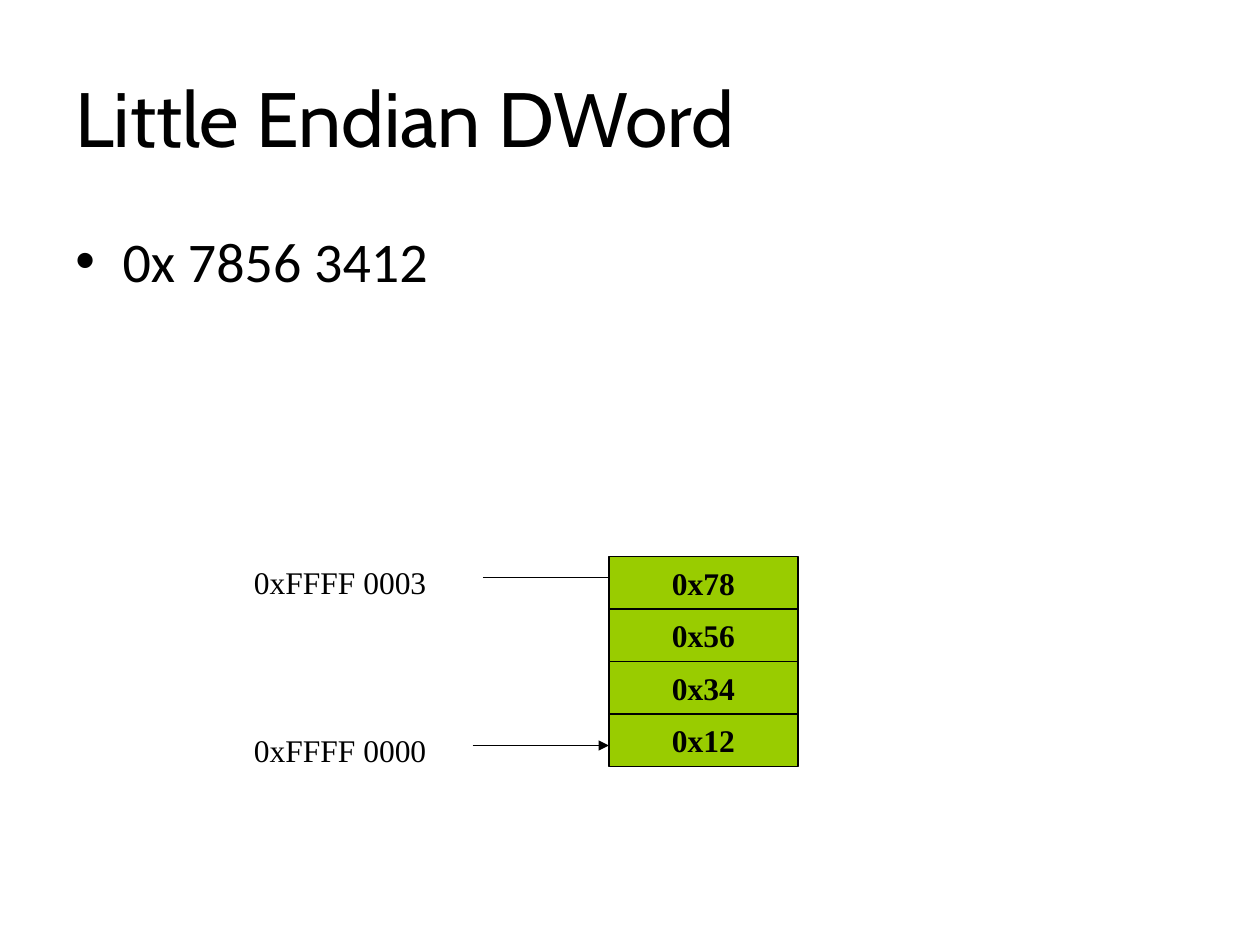
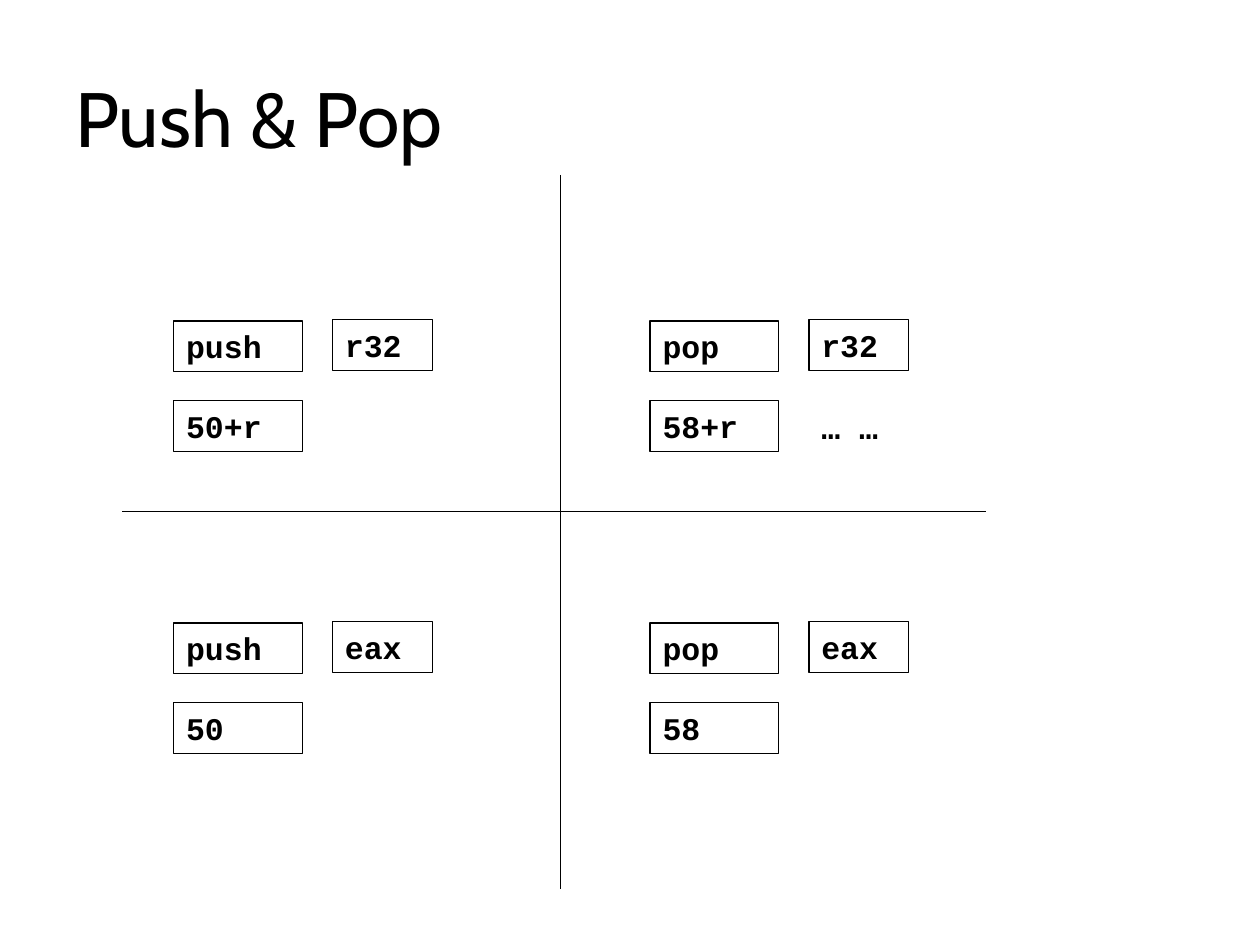
"""Build two slides on little-endian storage and push/pop encodings."""
from dataclasses import dataclass

from lxml.etree import SubElement
from pptx import Presentation
from pptx.dml.color import RGBColor
from pptx.enum.shapes import MSO_CONNECTOR, MSO_SHAPE
from pptx.enum.text import MSO_ANCHOR, PP_ALIGN
from pptx.oxml.ns import qn
from pptx.util import Pt

ENDIAN_TITLE = "Little Endian DWord"
ENDIAN_VALUE = "0x 7856 3412"
MEMORY_BYTES = ["0x78", "0x56", "0x34", "0x12"]
ADDRESSES = [
    {"text": "0xFFFF 0003", "top": 318, "arrow": (276, 354)},
    {"text": "0xFFFF 0000", "top": 414, "arrow": (270, 348)},
]

STACK_TITLE = "Push & Pop"
INSTRUCTIONS = [
    [("push", "r32", "50+r"), ("pop", "r32", "58+r")],
    [("push", "eax", "50"), ("pop", "eax", "58")],
]
MORE = "… …"


@dataclass(frozen=True)
class Theme:
    ink: RGBColor = RGBColor(0, 0, 0)
    memory: RGBColor = RGBColor(0x99, 0xCC, 0x00)
    title_font: str = "Cabin"
    body_font: str = "Calibri"
    memory_font: str = "Times New Roman"
    code_font: str = "Courier New"
    title_size: int = 44
    body_size: int = 32
    label_size: int = 18
    line_width: float = 0.75


THEME = Theme()

MEMORY_LEFT, MEMORY_TOP, MEMORY_WIDTH, MEMORY_HEIGHT = 348, 318, 108, 30
ADDRESS_LEFT, ADDRESS_WIDTH = 138, 126
LABEL_HEIGHT = 29
ARROW_DROP = 12

QUADRANT_LEFT, QUADRANT_TOP = 99.25, 183.5
QUADRANT_STEP_X, QUADRANT_STEP_Y = 272.25, 172.5
OPCODE_WIDTH, OPERAND_WIDTH, MORE_WIDTH = 73.5, 57, 68.5
OPERAND_SHIFT, OPERAND_RISE = 90.75, 0.75
ENCODING_DROP = 45.5


def write(shape, text, font, size, bold=False, align=PP_ALIGN.LEFT,
          anchor=MSO_ANCHOR.TOP, bullet_indent=0):
    frame = shape.text_frame
    frame.word_wrap = True
    frame.vertical_anchor = anchor
    para = frame.paragraphs[0]
    para.alignment = align
    if bullet_indent:
        properties = para._p.get_or_add_pPr()
        properties.set("marL", str(Pt(bullet_indent)))
        properties.set("indent", str(-Pt(bullet_indent)))
        SubElement(properties, qn("a:buFont")).set("typeface", "Arial")
        SubElement(properties, qn("a:buChar")).set("char", "•")
    span = para.add_run()
    span.text = text
    span.font.name = font
    span.font.size = Pt(size)
    span.font.bold = bold
    span.font.color.rgb = THEME.ink


def add_text(page, place, text, font, size, **style):
    box = page.shapes.add_textbox(*map(Pt, place))
    write(box, text, font, size, **style)


def add_box(page, place, text, font, fill=None, **style):
    box = page.shapes.add_shape(MSO_SHAPE.RECTANGLE, *map(Pt, place))
    box.shadow.inherit = False
    if fill is None:
        box.fill.background()
    else:
        box.fill.solid()
        box.fill.fore_color.rgb = fill
    box.line.color.rgb = THEME.ink
    box.line.width = Pt(THEME.line_width)
    write(box, text, font, THEME.label_size, bold=True, **style)


def add_line(page, start, end, arrow=False):
    line = page.shapes.add_connector(
        MSO_CONNECTOR.STRAIGHT, *map(Pt, (*start, *end)))
    line.line.color.rgb = THEME.ink
    line.line.width = Pt(THEME.line_width)
    if arrow:
        SubElement(line.line._get_or_add_ln(), qn("a:tailEnd")).set("type", "triangle")
    SubElement(line._element.spPr, qn("a:effectLst"))


def add_page(deck, title):
    page = deck.slides.add_slide(deck.slide_layouts[6])
    add_text(page, (36, 21.6, 648, 90), title, THEME.title_font,
             THEME.title_size, anchor=MSO_ANCHOR.MIDDLE)
    return page


def build_endian(deck):
    page = add_page(deck, ENDIAN_TITLE)
    add_text(page, (36, 126, 648, 356.4), ENDIAN_VALUE, THEME.body_font,
             THEME.body_size, bullet_indent=27)
    for address in ADDRESSES:
        top = address["top"]
        start, end = address["arrow"]
        add_line(page, (start, top + ARROW_DROP), (end, top + ARROW_DROP), arrow=True)
        add_text(page, (ADDRESS_LEFT, top, ADDRESS_WIDTH, LABEL_HEIGHT),
                 address["text"], THEME.memory_font, THEME.label_size)
    for index, value in enumerate(MEMORY_BYTES):
        place = (MEMORY_LEFT, MEMORY_TOP + index * MEMORY_HEIGHT,
                 MEMORY_WIDTH, MEMORY_HEIGHT)
        add_box(page, place, value, THEME.memory_font, fill=THEME.memory,
                align=PP_ALIGN.CENTER, anchor=MSO_ANCHOR.MIDDLE)


def build_stack(deck):
    page = add_page(deck, STACK_TITLE)
    add_line(page, (70, 292.5), (563.5, 292.5))
    add_line(page, (320.25, 100), (320.25, 508))
    for row, quadrants in enumerate(INSTRUCTIONS):
        for column, (opcode, operand, encoding) in enumerate(quadrants):
            left = QUADRANT_LEFT + column * QUADRANT_STEP_X
            top = QUADRANT_TOP + row * QUADRANT_STEP_Y
            parts = [
                (opcode, left, top, OPCODE_WIDTH),
                (operand, left + OPERAND_SHIFT, top - OPERAND_RISE, OPERAND_WIDTH),
                (encoding, left, top + ENCODING_DROP, OPCODE_WIDTH),
            ]
            for text, x, y, width in parts:
                add_box(page, (x, y, width, LABEL_HEIGHT), text, THEME.code_font)
    more_left = QUADRANT_LEFT + QUADRANT_STEP_X + OPERAND_SHIFT
    add_text(page, (more_left, QUADRANT_TOP + ENCODING_DROP + OPERAND_RISE,
                    MORE_WIDTH, LABEL_HEIGHT),
             MORE, THEME.code_font, THEME.label_size, bold=True)


def main():
    deck = Presentation()
    deck.slide_width, deck.slide_height = Pt(720), Pt(540)
    build_endian(deck)
    build_stack(deck)
    deck.save("out.pptx")


if __name__ == "__main__":
    main()
